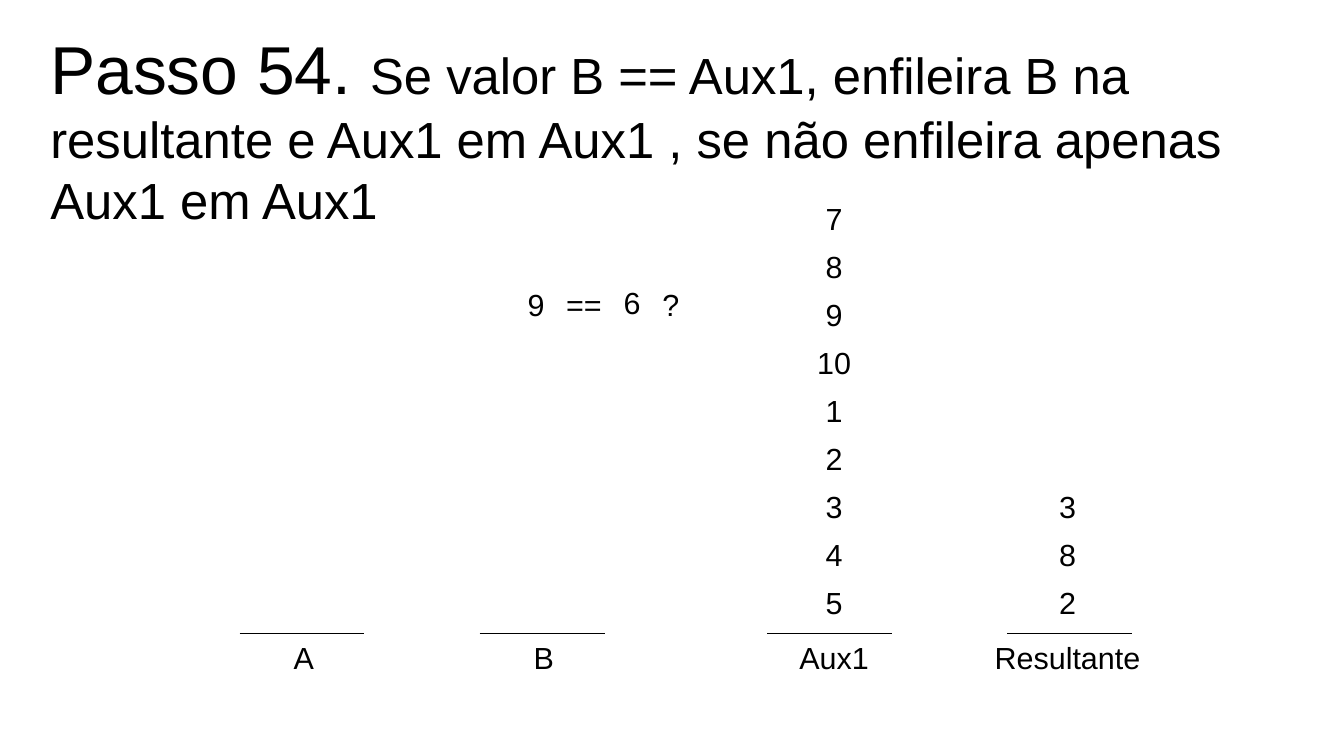
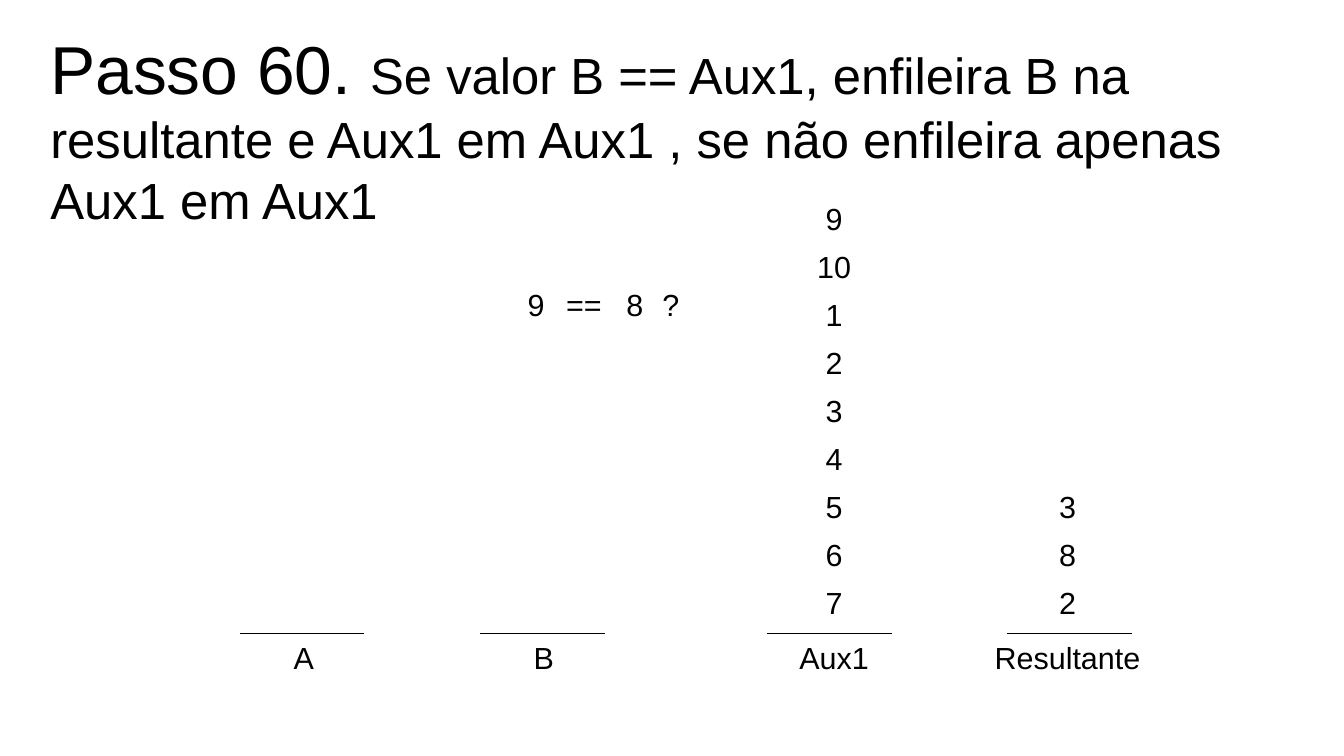
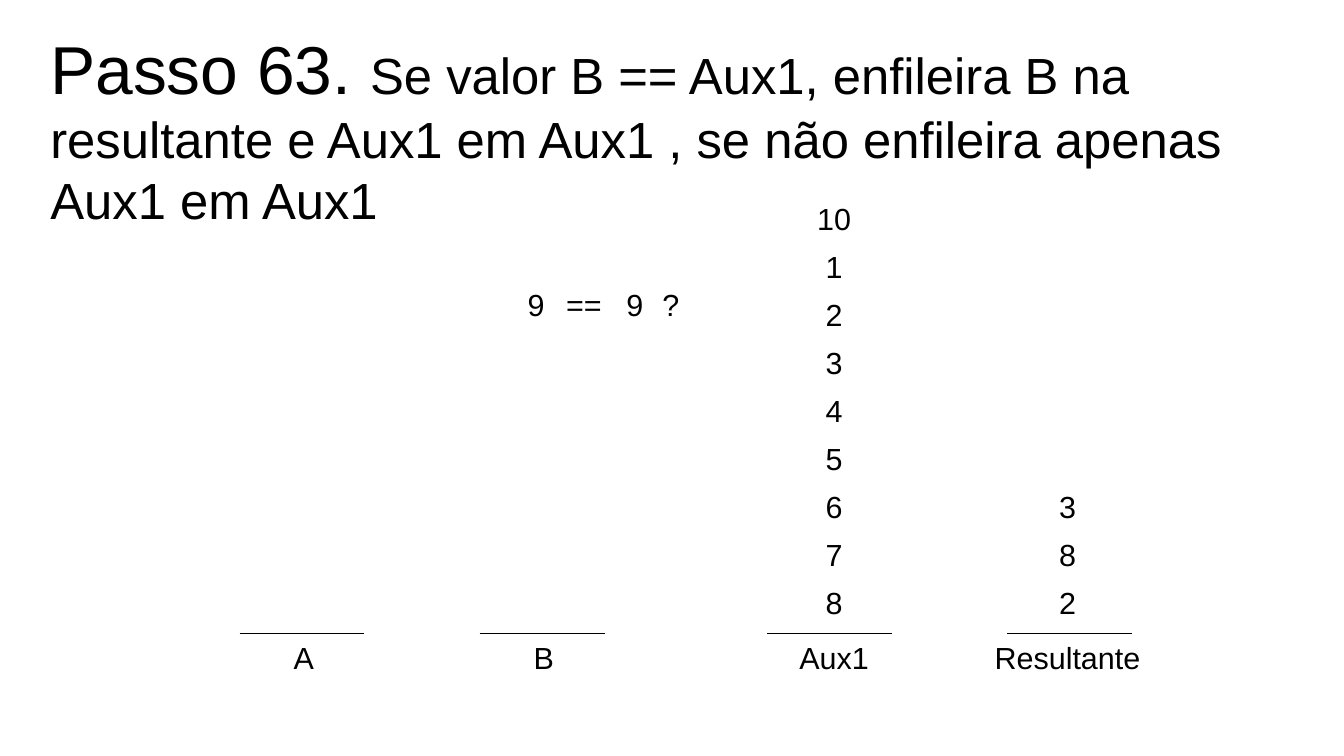
from dataclasses import dataclass

from lxml import etree
from pptx import Presentation
from pptx.dml.color import RGBColor
from pptx.enum import shapes, text
from pptx.oxml.ns import qn
from pptx.util import Pt


@dataclass(frozen=True)
class Theme:
    font: str = "Arial"
    ink: RGBColor = RGBColor(0, 0, 0)
    step_size: int = 40
    rule_size: int = 30
    value_size: int = 18
    line_width: float = 0.25


THEME = Theme()
RULE = ("Se valor B == Aux1, enfileira B na resultante e Aux1 em Aux1 , "
        "se não enfileira apenas Aux1 em Aux1")

BASE_Y = 374
BASE_W = 73.8
BOTTOM_Y = 341.28
ROW_H = 28.35
BOX_H = 27.36
COMPARE_Y = 165.6

QUEUES = [("A", 141.4, 179), ("B", 283.2, 320.7),
          ("Aux1", 453, 492.4), ("Resultante", 594.7, 630.2)]
RESULT = [3, 8, 2]

STEPS = [
    (54, 6, 373.2, 164.16, [7, 8, 9, 10, 1, 2, 3, 4, 5]),
    (60, 8, 374.8, COMPARE_Y, [9, 10, 1, 2, 3, 4, 5, 6, 7]),
    (63, 9, 374.8, COMPARE_Y, [10, 1, 2, 3, 4, 5, 6, 7, 8]),
]


def add_run(p, content, size):
    r = p.add_run()
    r.text = content
    r.font.name = THEME.font
    r.font.size = Pt(size)
    r.font.color.rgb = THEME.ink


def set_frame(tf, wrap):
    tf.word_wrap = wrap
    tf.vertical_anchor = text.MSO_ANCHOR.TOP
    tf.margin_left = tf.margin_right = Pt(7.2)
    tf.margin_top = tf.margin_bottom = Pt(3.6)
    tf.auto_size = text.MSO_AUTO_SIZE.SHAPE_TO_FIT_TEXT


def add_title(s, step):
    sp = s.shapes.title
    sp.left, sp.top, sp.width, sp.height = Pt(22.5), Pt(12.24), Pt(748), Pt(118.8)
    set_frame(sp.text_frame, True)
    p = sp.text_frame.paragraphs[0]
    p.alignment = text.PP_ALIGN.LEFT
    p.line_spacing = 1.0
    add_run(p, f"Passo {step}. ", THEME.step_size)
    add_run(p, RULE, THEME.rule_size)


def add_label(s, content, center, top):
    content = str(content)
    width = 15 + 10.6 * len(content)
    sp = s.shapes.add_textbox(Pt(center - width / 2), Pt(top), Pt(width), Pt(BOX_H))
    set_frame(sp.text_frame, False)
    p = sp.text_frame.paragraphs[0]
    p.alignment = text.PP_ALIGN.CENTER
    add_run(p, content, THEME.value_size)


def add_queue(s, name, left, center, values):
    line = s.shapes.add_connector(shapes.MSO_CONNECTOR.STRAIGHT, Pt(left), Pt(BASE_Y),
                                  Pt(left + BASE_W), Pt(BASE_Y))
    line.line.color.rgb = THEME.ink
    line.line.width = Pt(THEME.line_width)
    etree.SubElement(line._element.spPr, qn("a:effectLst"))
    add_label(s, name, center, BASE_Y)
    for row, value in enumerate(reversed(values)):
        add_label(s, value, center, BOTTOM_Y - row * ROW_H)


def add_comparison(s, operand, center, top):
    for content, x in [("9", 316.5), ("==", 344.7), ("?", 396)]:
        add_label(s, content, x, COMPARE_Y)
    add_label(s, operand, center, top)


def main():
    prs = Presentation()
    prs.slide_width, prs.slide_height = Pt(793.44), Pt(446.4)
    for step, operand, center, top, aux in STEPS:
        s = prs.slides.add_slide(prs.slide_layouts[5])
        add_title(s, step)
        values = {"Aux1": aux, "Resultante": RESULT}
        for name, left, middle in QUEUES:
            add_queue(s, name, left, middle, values.get(name, []))
        add_comparison(s, operand, center, top)
    prs.save("out.pptx")


if __name__ == "__main__":
    main()
